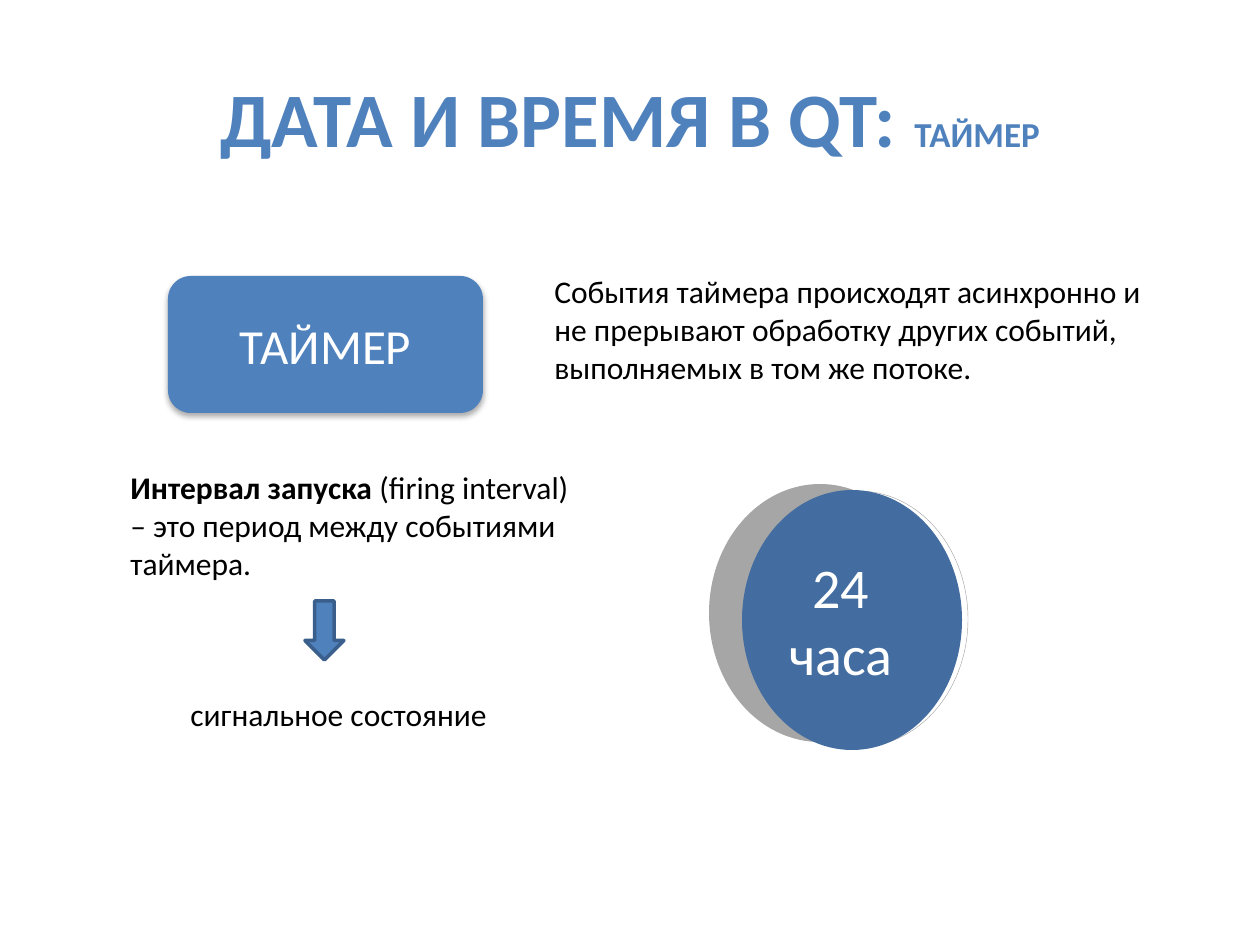
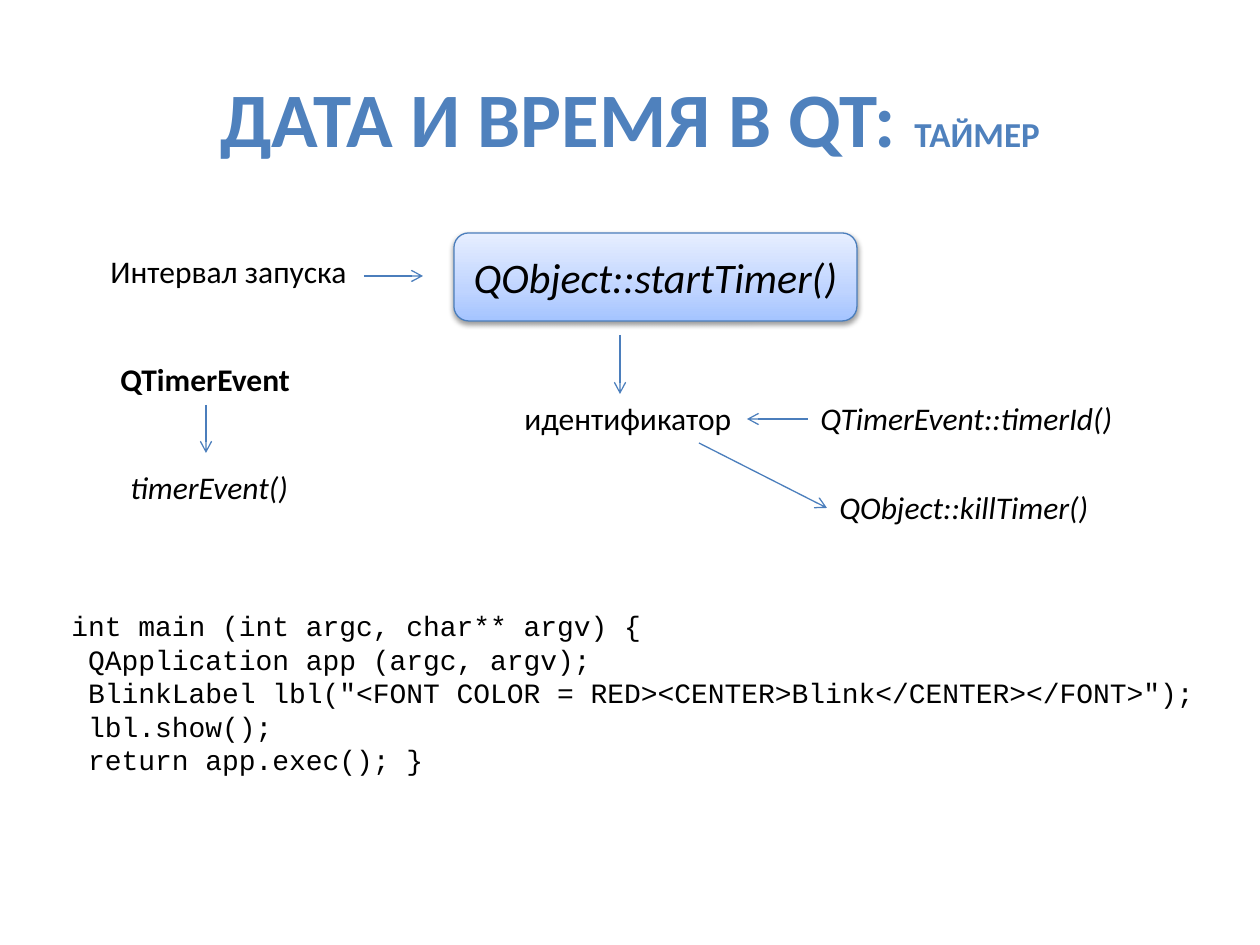
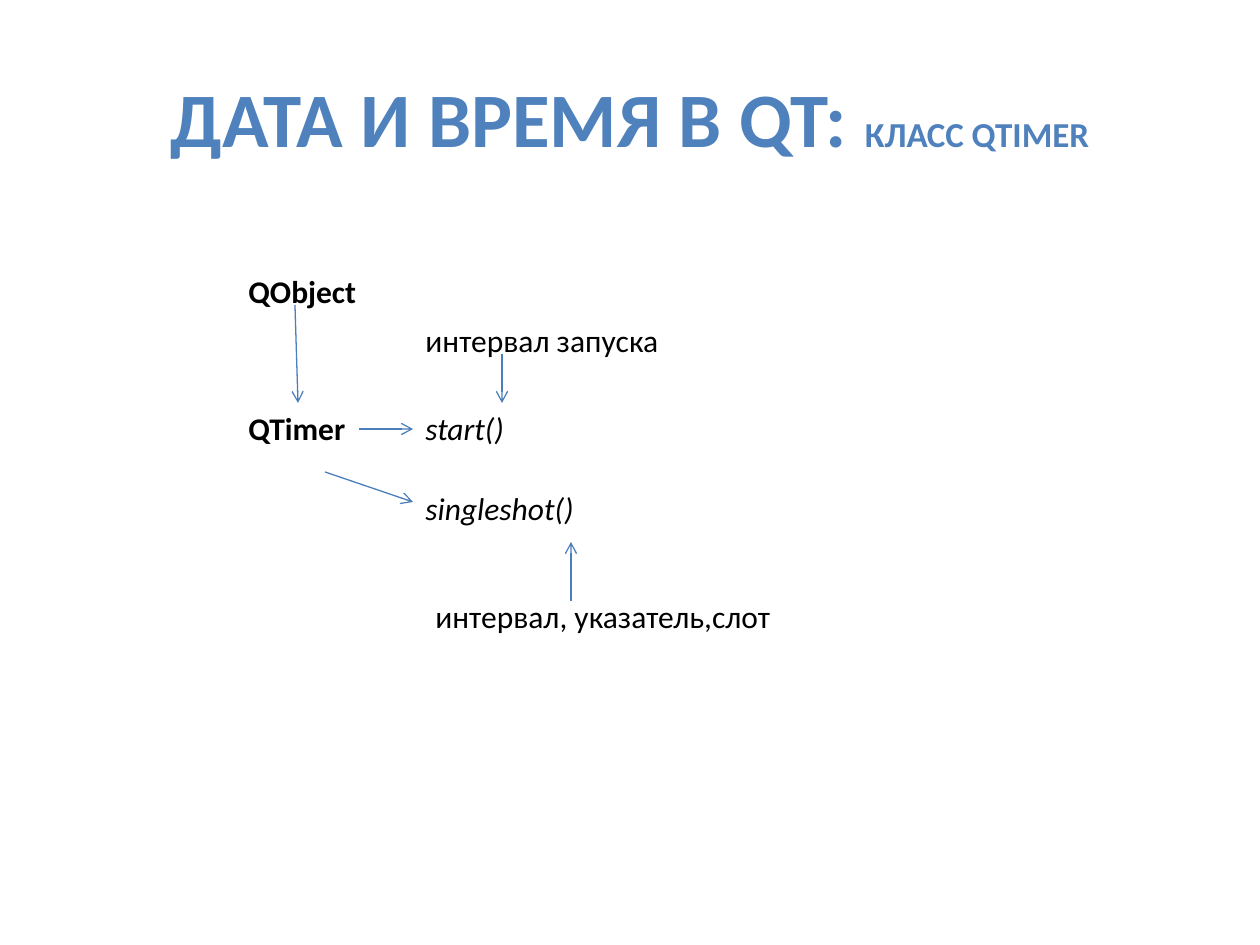
from lxml import etree
from pptx import Presentation
from pptx.dml.color import RGBColor
from pptx.enum.shapes import MSO_CONNECTOR, MSO_SHAPE
from pptx.enum.text import MSO_ANCHOR, MSO_AUTO_SIZE, PP_ALIGN
from pptx.oxml import parse_xml
from pptx.oxml.ns import nsdecls, qn
from pptx.util import Emu, Pt

PIXELS_PER_INCH = 126
SLIDE_WIDTH, SLIDE_HEIGHT = 1260, 945
LABEL_HEIGHT = 50

BLUE = RGBColor(0x4F, 0x81, 0xBD)
ARROW_BLUE = RGBColor(0x4B, 0x7E, 0xBC)
OUTLINE_BLUE = RGBColor(0x3A, 0x5F, 0x8C)
CLOCK_BLUE = RGBColor(0x43, 0x6D, 0xA0)
GRAY = RGBColor(0xA6, 0xA6, 0xA6)
BLACK = RGBColor(0, 0, 0)
WHITE = RGBColor(0xFF, 0xFF, 0xFF)
BUTTON_STOPS = [
    (0, RGBColor(0xA4, 0xC4, 0xFF)),
    (35, RGBColor(0xBF, 0xD4, 0xFF)),
    (100, RGBColor(0xE6, 0xEE, 0xFF)),
]

BODY_FONT = "Calibri"
CODE_FONT = "Courier New"
TITLE = "ДАТА И ВРЕМЯ В QT: "
CODE_LINES = [
    "int main (int argc, char** argv) {",
    " QApplication app (argc, argv);",
    ' BlinkLabel lbl("<FONT COLOR = RED><CENTER>Blink</CENTER></FONT>");',
    " lbl.show();",
    " return app.exec(); }",
]


def px(length):
    return Emu(round(length * 914400 / PIXELS_PER_INCH))


def set_font(paragraph, size, color=BLACK, name=BODY_FONT, bold=False, italic=False):
    font = paragraph.font
    font.name, font.size = name, Pt(size)
    font.bold, font.italic = bold, italic
    font.color.rgb = color


def add_text(slide, left, top, width, height, lines, size=18, wrap=True, **style):
    """Add a text box with one paragraph for each line and return its frame."""
    box = slide.shapes.add_textbox(px(left), px(top), px(width), px(height))
    frame = box.text_frame
    frame.word_wrap = wrap
    frame.auto_size = MSO_AUTO_SIZE.SHAPE_TO_FIT_TEXT
    frame.text = "\n".join(lines)
    for paragraph in frame.paragraphs:
        set_font(paragraph, size, **style)
    return frame


def add_labels(slide, left, top, labels):
    for text, x, y, width, style in labels:
        add_text(slide, left + x, top + y, width, LABEL_HEIGHT, [text], wrap=False, **style)


def add_arrows(slide, left, top, arrows):
    for x1, y1, x2, y2 in arrows:
        arrow = slide.shapes.add_connector(
            MSO_CONNECTOR.STRAIGHT, px(left + x1), px(top + y1), px(left + x2), px(top + y2))
        arrow.line.color.rgb = ARROW_BLUE
        arrow.line.width = Pt(0.75)
        etree.SubElement(arrow.line._get_or_add_ln(), qn("a:tailEnd"), type="arrow")
        etree.SubElement(arrow._element.spPr, qn("a:effectLst"))


def add_figure(slide, kind, left, top, width, height, fill, line=None, line_width=0.75):
    """Add a preset shape; no line colour means no outline."""
    shape = slide.shapes.add_shape(kind, px(left), px(top), px(width), px(height))
    shape.shadow.inherit = False
    shape.fill.solid()
    shape.fill.fore_color.rgb = fill
    if line is None:
        shape.line.fill.background()
    else:
        shape.line.color.rgb = line
        shape.line.width = Pt(line_width)
    return shape


def set_caption(shape, text, size, **style):
    frame = shape.text_frame
    frame.word_wrap = True
    frame.vertical_anchor = MSO_ANCHOR.MIDDLE
    paragraph = frame.paragraphs[0]
    paragraph.text = text
    paragraph.alignment = PP_ALIGN.CENTER
    set_font(paragraph, size, **style)


def add_drop_shadow(shape, opacity, blur, distance):
    """Cast a black shadow straight down; opacity in percent, lengths in points."""
    effects = shape._element.spPr.find(qn("a:effectLst"))
    effects.append(parse_xml(
        f'<a:outerShdw {nsdecls("a")} blurRad="{Pt(blur)}" dist="{Pt(distance)}" '
        f'dir="5400000" rotWithShape="0"><a:srgbClr val="{BLACK}">'
        f'<a:alpha val="{opacity * 1000}"/></a:srgbClr></a:outerShdw>'))


def fill_upwards(shape, stops):
    """Replace the fill with a gradient that runs from bottom to top."""
    stop_list = "".join(
        f'<a:gs pos="{position * 1000}"><a:srgbClr val="{color}"/></a:gs>'
        for position, color in stops)
    gradient = parse_xml(
        f'<a:gradFill {nsdecls("a")} rotWithShape="1"><a:gsLst>{stop_list}</a:gsLst>'
        f'<a:lin ang="16200000" scaled="0"/></a:gradFill>')
    properties = shape._element.spPr
    properties.replace(properties.find(qn("a:solidFill")), gradient)


def add_titled_slide(presentation, topic):
    slide = presentation.slides.add_slide(presentation.slide_layouts[6])
    frame = add_text(slide, 63, 38, 1134, 157, [TITLE], size=44, color=BLUE, bold=True)
    frame.auto_size = MSO_AUTO_SIZE.NONE
    frame.vertical_anchor = MSO_ANCHOR.MIDDLE
    paragraph = frame.paragraphs[0]
    paragraph.alignment = PP_ALIGN.CENTER
    topic_run = paragraph.add_run()
    topic_run.text = topic
    topic_run.font.size = Pt(20)
    return slide


def add_timer_definition(slide, left, top):
    button = add_figure(slide, MSO_SHAPE.ROUNDED_RECTANGLE, left, top, 315, 137, BLUE)
    add_drop_shadow(button, 32, 3.5, 2.2)
    set_caption(button, "ТАЙМЕР", 28, color=WHITE)
    add_text(slide, left + 374, top - 10, 630, 127, [
        "События таймера происходят асинхронно и не прерывают "
        "обработку других событий, выполняемых в том же потоке."])


def add_interval_definition(slide, left, top):
    frame = add_text(slide, left, top, 473, 127, ["Интервал запуска "])
    paragraph = frame.paragraphs[0]
    paragraph.runs[0].font.bold = True
    paragraph.add_run().text = "(firing interval) – это период между событиями таймера."
    add_figure(slide, MSO_SHAPE.DOWN_ARROW, left + 187, top + 139, 39, 59,
               BLUE, OUTLINE_BLUE, 2)
    add_labels(slide, left, top, [("сигнальное состояние", 60, 227, 325, {})])


def add_clock(slide, left, top):
    """Stack a gray back, a thin white rim and a blue face into a disc."""
    add_figure(slide, MSO_SHAPE.OVAL, left, top, 222, 258, GRAY)
    add_figure(slide, MSO_SHAPE.OVAL, left + 40, top + 7, 219, 256, WHITE, GRAY, 0.25)
    face = add_figure(slide, MSO_SHAPE.OVAL, left + 33, top + 6, 220, 260, CLOCK_BLUE)
    set_caption(face, "24 часа", 32, color=WHITE)
    face.text_frame.margin_left = 0
    face.text_frame.margin_right = px(22)


def add_start_timer_diagram(slide, left, top):
    button = add_figure(slide, MSO_SHAPE.ROUNDED_RECTANGLE, left + 356, top, 403, 88,
                        BLUE, ARROW_BLUE)
    fill_upwards(button, BUTTON_STOPS)
    add_drop_shadow(button, 38, 3.1, 1.6)
    set_caption(button, "QObject::startTimer()", 24, italic=True)
    add_labels(slide, left, top, [
        ("Интервал запуска", 0, 13, 270, {}),
        ("идентификатор", 414, 160, 234, {}),
        ("QTimerEvent", 10, 121, 197, {"bold": True}),
        ("timerEvent()", 20, 229, 185, {"italic": True}),
        ("QTimerEvent::timerId()", 710, 160, 321, {"italic": True}),
        ("QObject::killTimer()", 729, 249, 277, {"italic": True}),
    ])
    add_arrows(slide, left, top, [
        (266, 43, 325, 43),
        (522, 102, 522, 161),
        (710, 186, 649, 186),
        (601, 210, 729, 275),
        (108, 172, 108, 220),
    ])


def add_code(slide, left, top):
    frame = add_text(slide, left, top, 1162, 183, CODE_LINES, size=16, name=CODE_FONT)
    frame.vertical_anchor = MSO_ANCHOR.MIDDLE


def add_timer_class_diagram(slide, left, top):
    add_labels(slide, left, top, [
        ("QObject", 0, 0, 133, {"bold": True}),
        ("QTimer", 0, 137, 123, {"bold": True}),
        ("start()", 177, 137, 105, {"italic": True}),
        ("интервал запуска", 177, 49, 268, {}),
        ("singleshot()", 177, 217, 175, {"italic": True}),
        ("интервал, указатель,слот", 187, 325, 377, {}),
    ])
    add_arrows(slide, left, top, [
        (59, 39, 62, 137),
        (266, 88, 266, 137),
        (123, 163, 177, 163),
        (89, 206, 177, 236),
        (335, 335, 335, 276),
    ])


def main():
    presentation = Presentation()
    presentation.slide_width = px(SLIDE_WIDTH)
    presentation.slide_height = px(SLIDE_HEIGHT)

    timer_slide = add_titled_slide(presentation, "ТАЙМЕР")
    add_timer_definition(timer_slide, 168, 276)
    add_interval_definition(timer_slide, 118, 462)
    add_clock(timer_slide, 709, 484)

    event_slide = add_titled_slide(presentation, "ТАЙМЕР")
    add_start_timer_diagram(event_slide, 98, 233)
    add_code(event_slide, 59, 601)

    class_slide = add_titled_slide(presentation, "КЛАСС QTIMER")
    add_timer_class_diagram(class_slide, 236, 266)

    presentation.save("out.pptx")


if __name__ == "__main__":
    main()
